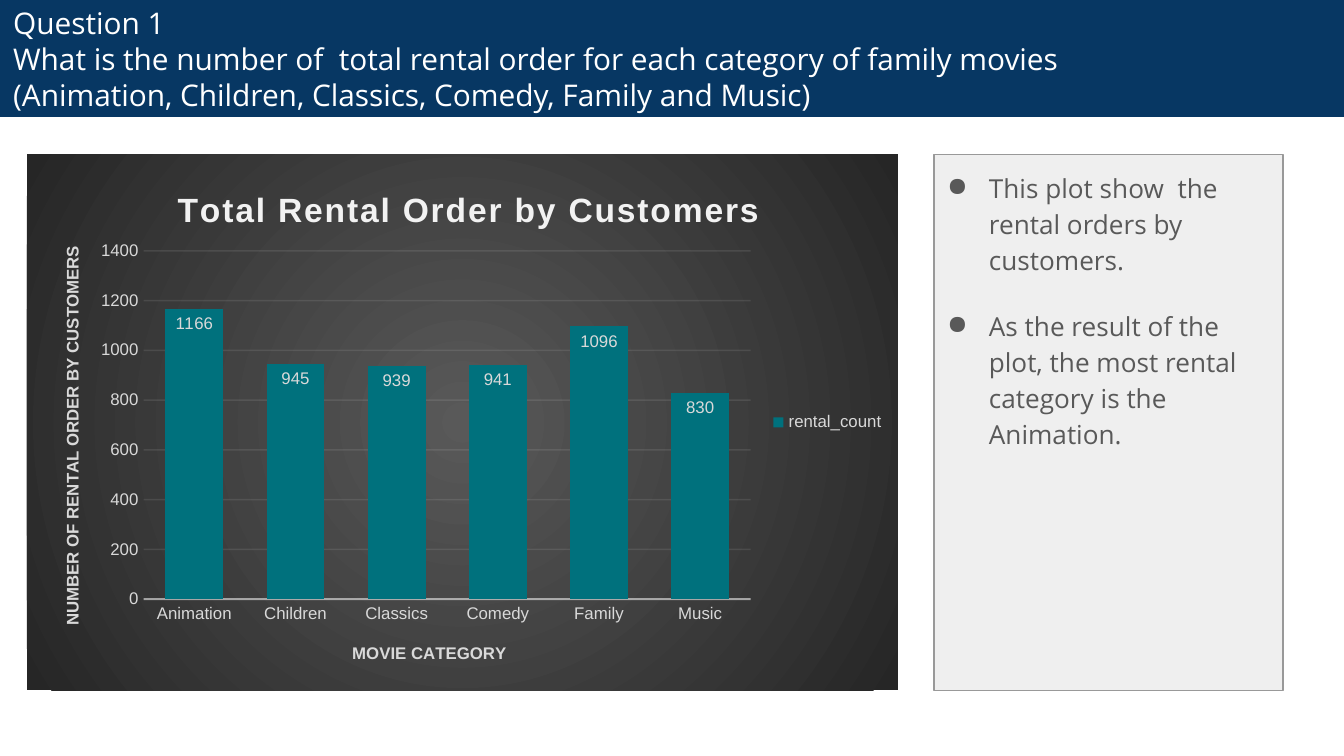
from lxml import etree
from pptx import Presentation, util as u
from pptx.chart.data import CategoryChartData
from pptx.dml.color import RGBColor
from pptx.enum import chart as ch, shapes, text
from pptx.oxml import parse_xml
from pptx.oxml.ns import nsdecls, qn

COUNTS = {"Animation": 1166, "Children": 945, "Classics": 939,
          "Comedy": 941, "Family": 1096, "Music": 830}
QUESTION = ["Question 1",
            "What is the number of  total rental order for each category of family movies",
            "(Animation, Children, Classics, Comedy, Family and Music)"]
FINDINGS = ["This plot show  the rental orders by customers.",
            "As the result of the plot, the most rental category is the Animation."]


def colour(value):
    """Turn a hex string into a colour."""
    return RGBColor.from_string(value)


def set_alpha(line, percent):
    """Make a solid line partly transparent."""
    tint = line.fill._xPr.find(".//" + qn("a:srgbClr"))
    etree.SubElement(tint, qn("a:alpha")).set("val", str(percent * 1000))


def place(parent, before, **values):
    """Give a chart part a manual layout, as fractions of the chart."""
    for old in parent.findall(qn("c:layout")):
        parent.remove(old)
    inner = '<c:layoutTarget val="inner"/>' if "w" in values else ""
    modes = "".join(f'<c:{key}Mode val="edge"/>' for key in "xy")
    sizes = "".join(f'<c:{key} val="{value}"/>' for key, value in values.items())
    layout = parse_xml(f'<c:layout {nsdecls("c")}><c:manualLayout>'
                       f'{inner}{modes}{sizes}</c:manualLayout></c:layout>')
    if before is None:
        parent.insert(0, layout)
    else:
        before.addnext(layout)


class Sheet:
    """Style and current slide."""
    text_font, chart_font = "Open Sans", "Arial"
    pale, bright = "D9D9D9", "F2F2F2"

    def __init__(self, page):
        """Keep the slide to draw on."""
        self.page = page

    def style(self, font, size, tint, name, bold=None):
        """Set the look of a font."""
        font.size, font.name, font.bold = u.Pt(size), name, bold
        font.color.rgb = colour(tint)

    def panel(self, area, fill, anchor, line=None):
        """Draw a filled rectangle and return its text frame."""
        box = self.page.shapes.add_shape(shapes.MSO_SHAPE.RECTANGLE, *map(u.Cm, area))
        box.shadow.inherit = False
        box.fill.solid()
        box.fill.fore_color.rgb = colour(fill)
        if line:
            box.line.color.rgb, box.line.width = colour(line), u.Pt(0.75)
        else:
            box.line.fill.background()
        frame = box.text_frame
        frame.word_wrap, frame.vertical_anchor = True, anchor
        for side in ("left", "right", "top", "bottom"):
            setattr(frame, "margin_" + side, u.Cm(0.25))
        return frame

    def span(self, para, words, size, tint):
        """Add one run of text."""
        para.alignment = text.PP_ALIGN.LEFT
        run = para.add_run()
        run.text = words
        self.style(run.font, size, tint, self.text_font)

    def heading(self, area, lines):
        """Draw the title band."""
        para = self.panel(area, "073763", text.MSO_ANCHOR.MIDDLE).paragraphs[0]
        for number, words in enumerate(lines):
            if number:
                para.add_line_break()
            self.span(para, words, 16, "FFFFFF")

    def bullets(self, area, items):
        """Draw the panel with bulleted findings."""
        frame = self.panel(area, "EFEFEF", text.MSO_ANCHOR.TOP, "999999")
        for number, words in enumerate(items):
            para = frame.add_paragraph() if number else frame.paragraphs[0]
            para.line_spacing, para.space_after = 1.15, u.Pt(16)
            props = para._p.get_or_add_pPr()
            props.set("marL", str(u.Cm(0.79)))
            props.set("indent", str(-u.Cm(0.79)))
            tint = etree.SubElement(props, qn("a:buClr"))
            etree.SubElement(tint, qn("a:srgbClr")).set("val", "595959")
            etree.SubElement(props, qn("a:buChar")).set("char", "●")
            self.span(para, words, 14, "595959")

    def caption(self, owner, words, size, tint, x, y):
        """Title a chart or an axis at a given place."""
        title = owner.chart_title if hasattr(owner, "chart_title") else owner.axis_title
        run = title.text_frame.paragraphs[0].add_run()
        run.text = words
        self.style(run.font, size, tint, self.chart_font, True)
        element = title._element
        place(element, element.find(qn("c:tx")), x=x, y=y)
        return run

    def columns(self, area, name, counts):
        """Draw the column chart."""
        data = CategoryChartData()
        data.categories = list(counts)
        data.add_series(name, list(counts.values()))
        chart = self.page.shapes.add_chart(
            ch.XL_CHART_TYPE.COLUMN_CLUSTERED, *map(u.Cm, area), data).chart
        self.style(chart.font, 9, self.pale, self.chart_font)
        run = self.caption(chart, "Total Rental Order by Customers", 18, self.bright, 0.166, 0.05)
        run._r.get_or_add_rPr().set("spc", "100")
        self.axes(chart)
        chart.has_legend = True
        chart.legend.position = ch.XL_LEGEND_POSITION.RIGHT
        chart.legend.include_in_layout = False
        self.style(chart.legend.font, 9, self.pale, self.chart_font)

        plot = chart.plots[0]
        plot.gap_width, plot.overlap, plot.vary_by_categories = 75, 40, False
        fill = plot.series[0].format.fill
        fill.solid()
        fill.fore_color.rgb = colour("00717D")
        plot.has_data_labels = True
        labels = plot.data_labels
        labels.show_value, labels.position = True, ch.XL_LABEL_POSITION.INSIDE_END
        self.style(labels.font, 9, self.pale, self.chart_font)

        root = chart._chartSpace.find(qn("c:chart"))
        place(root.find(qn("c:plotArea")), None, x=0.134, y=0.18, w=0.697, h=0.65)
        stops = "".join(f'<a:gs pos="{spot}"><a:srgbClr val="{tint}"/></a:gs>'
                        for spot, tint in ((0, "595959"), (100000, "262626")))
        root.addnext(parse_xml(
            f'<c:spPr {nsdecls("c", "a")}><a:gradFill><a:gsLst>{stops}</a:gsLst>'
            '<a:path path="circle"><a:fillToRect l="50000" t="50000" r="50000" b="50000"/>'
            '</a:path></a:gradFill><a:ln><a:noFill/></a:ln></c:spPr>'))

    def axes(self, chart):
        """Style both axes and the grid."""
        across, up = chart.category_axis, chart.value_axis
        for axis in (across, up):
            axis.major_tick_mark = axis.minor_tick_mark = ch.XL_TICK_MARK.NONE
            self.style(axis.tick_labels.font, 9, self.pale, self.chart_font)
        up.minimum_scale, up.maximum_scale, up.major_unit = 0, 1400, 200
        up.has_major_gridlines = True
        up.format.line.fill.background()
        grid = up.major_gridlines.format.line
        for line, width, alpha in ((across.format.line, 1, 54), (grid, 0.75, 10)):
            line.color.rgb, line.width = colour(self.bright), u.Pt(width)
            set_alpha(line, alpha)
        self.caption(across, "MOVIE CATEGORY", 9, self.pale, 0.37, 0.905)
        run = self.caption(up, "NUMBER OF RENTAL ORDER BY CUSTOMERS", 9, self.pale, 0.036, 0.165)
        body = run._r.getparent().getparent().find(qn("a:bodyPr"))
        body.set("rot", "-5400000")
        body.set("vert", "horz")


deck = Presentation()
deck.slide_width, deck.slide_height = u.Cm(25.4), u.Cm(14.29)
sheet = Sheet(deck.slides.add_slide(deck.slide_layouts[6]))
sheet.bullets((17.65, 2.92, 6.6, 10.13), FINDINGS)
sheet.heading((0, 0, 25.4, 2.21), QUESTION)
sheet.columns((0.51, 2.92, 16.46, 10.13), "rental_count", COUNTS)
deck.save("out.pptx")
